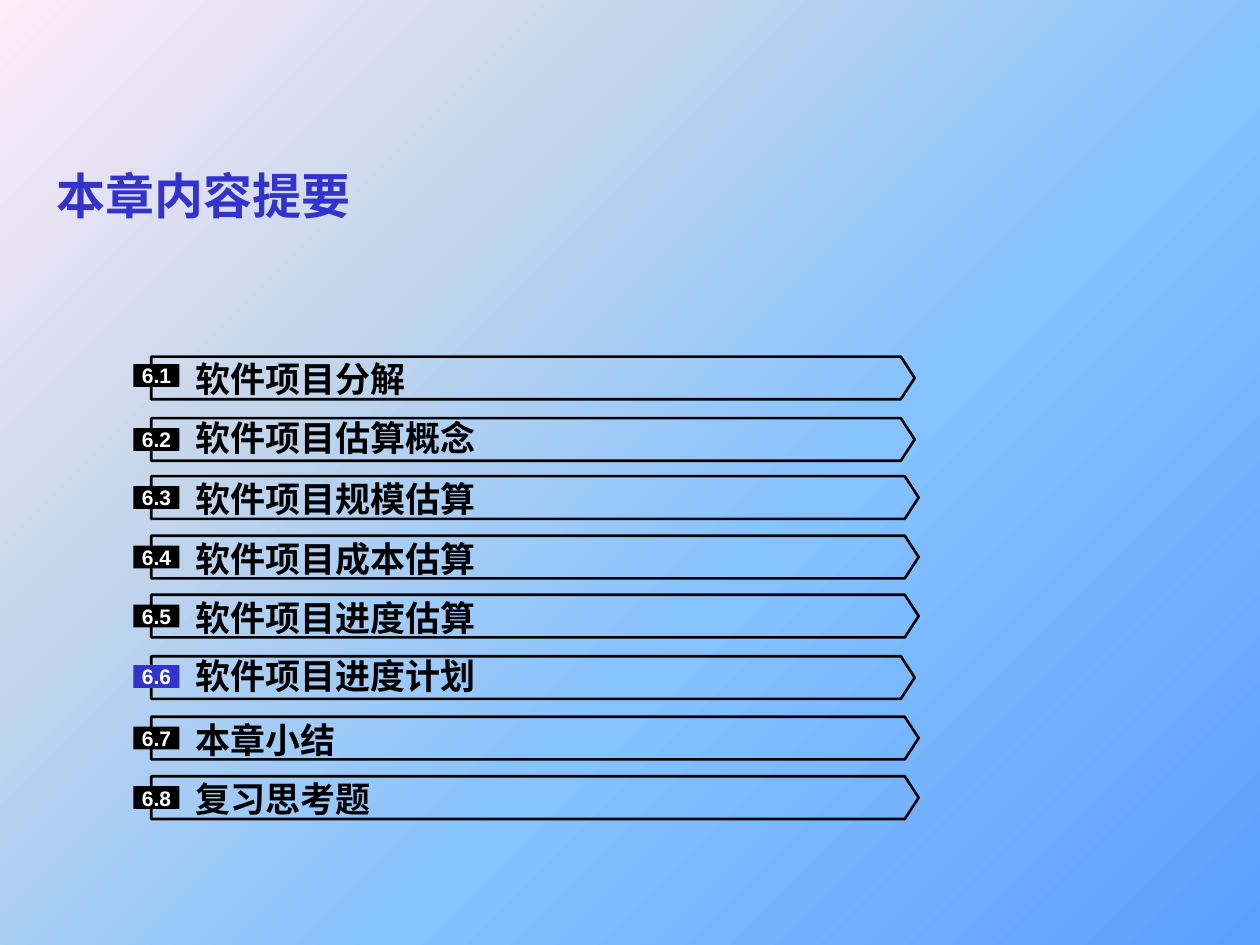
from lxml import etree
from pptx import Presentation
from pptx.dml.color import RGBColor
from pptx.enum.shapes import MSO_SHAPE
from pptx.enum.text import MSO_ANCHOR, PP_ALIGN
from pptx.oxml.ns import qn
from pptx.util import Cm, Pt

PENTAGON = MSO_SHAPE.PENTAGON
RECTANGLE = MSO_SHAPE.RECTANGLE
MIDDLE = MSO_ANCHOR.MIDDLE
LEFT, CENTER = PP_ALIGN.LEFT, PP_ALIGN.CENTER

COLORS = {"accent": "3333CC", "ink": "000000", "paper": "FFFFFF"}
BACKGROUND_STOPS = [(0, "5E9EFF"), (40, "85C2FF"), (70, "C4D6EB"), (100, "FFEBFA")]

CURRENT_SECTION = "6.6"
SHORT, LONG = 15.39, 15.47
# number, heading, top, bar width, label offset, badge offset (cm)
SECTIONS = [
    ("6.1", "软件项目分解", 7.19, SHORT, 0.03, 0.15),
    ("6.2", "软件项目估算概念", 8.43, SHORT, -0.03, 0.2),
    ("6.3", "软件项目规模估算", 9.6, LONG, 0.03, 0.2),
    ("6.4", "软件项目成本估算", 10.8, LONG, 0.03, 0.2),
    ("6.5", "软件项目进度估算", 11.99, LONG, 0.03, 0.2),
    ("6.6", "软件项目进度计划", 13.23, SHORT, -0.03, 0.18),
    ("6.7", "本章小结", 14.45, LONG, 0.03, 0.2),
    ("6.8", "复习思考题", 15.65, LONG, 0.03, 0.2),
]


def color(name):
    return RGBColor.from_string(COLORS[name])


def write_text(shape, text, size, font_name, color_name, alignment=LEFT):
    frame = shape.text_frame
    frame.word_wrap = True
    frame.vertical_anchor = MIDDLE
    frame.text = text
    paragraph = frame.paragraphs[0]
    paragraph.alignment = alignment
    font = paragraph.font
    font.size, font.name, font.bold = Pt(size), font_name, True
    font.color.rgb = color(color_name)


def clear_margins(shape):
    frame = shape.text_frame
    frame.margin_left = frame.margin_right = 0
    frame.margin_top = frame.margin_bottom = 0


def paint_background(slide):
    fill = slide.background.fill
    fill.gradient()
    fill.gradient_angle = 135
    stop_list = slide.element.find(".//" + qn("a:gsLst"))
    for stop in list(stop_list):
        stop_list.remove(stop)
    for position, value in BACKGROUND_STOPS:
        stop = etree.SubElement(stop_list, qn("a:gs"), pos=str(position * 1000))
        etree.SubElement(stop, qn("a:srgbClr"), val=value)


def add_title(slide, left, top, width, height):
    title = slide.shapes.title
    title.left, title.top = Cm(left), Cm(top)
    title.width, title.height = Cm(width), Cm(height)
    write_text(title, "本章内容提要", 28, "Arial", "accent")


def add_section(slide, left, top, section):
    number, heading, _, bar_width, label_offset, badge_offset = section
    group = slide.shapes.add_group_shape()

    # Arrow-shaped outline
    bar = group.shapes.add_shape(
        PENTAGON, Cm(left + 0.36), Cm(top), Cm(bar_width), Cm(0.86))
    bar.adjustments[0] = 0.325
    bar.shadow.inherit = False
    bar.fill.background()
    bar.line.color.rgb = color("ink")
    bar.line.width = Pt(1.5)

    # Heading
    label = group.shapes.add_textbox(
        Cm(left + 1.25), Cm(top + label_offset), Cm(13.5), Cm(0.84))
    clear_margins(label)
    write_text(label, heading, 20, "Times New Roman", "ink")

    # Number badge
    badge = group.shapes.add_shape(
        RECTANGLE, Cm(left), Cm(top + badge_offset), Cm(0.93), Cm(0.46))
    badge.shadow.inherit = False
    badge.fill.solid()
    badge.fill.fore_color.rgb = color("accent" if number == CURRENT_SECTION else "ink")
    badge.line.fill.background()
    clear_margins(badge)
    write_text(badge, number, 12, "Arial", "paper", CENTER)


def main():
    presentation = Presentation()
    presentation.slide_width, presentation.slide_height = Cm(25.4), Cm(19.05)
    slide = presentation.slides.add_slide(presentation.slide_layouts[5])
    paint_background(slide)
    add_title(slide, 0.89, 2.92, 24, 2)
    for section in SECTIONS:
        add_section(slide, 2.69, section[2], section)
    presentation.save("out.pptx")


if __name__ == "__main__":
    main()
